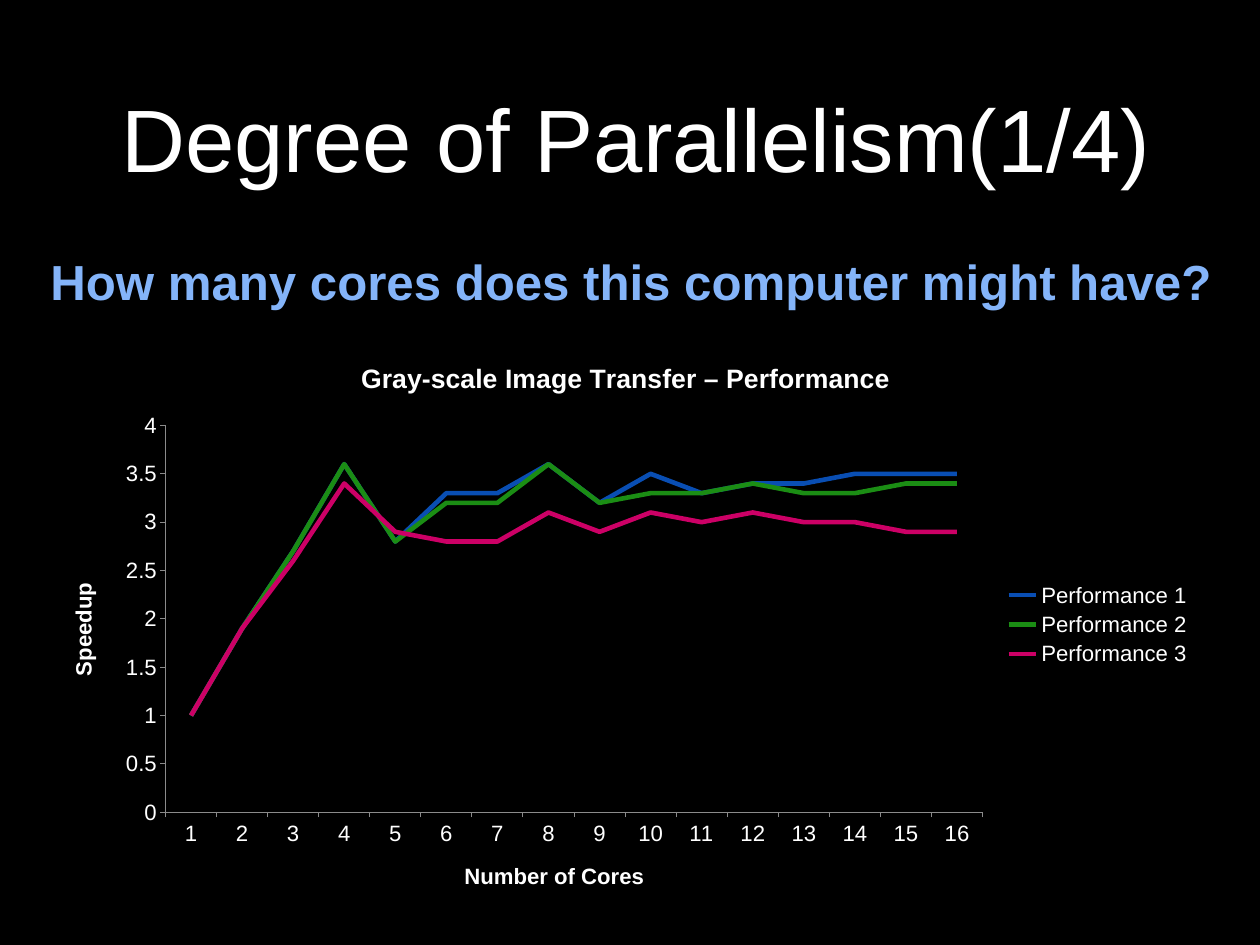
"""Builds a slide that shows speedup against the number of cores."""
import pptx
import pptx.chart.data
import pptx.dml.color
import pptx.enum.chart
import pptx.enum.text
import pptx.oxml
import pptx.oxml.ns
import pptx.util

Pt = pptx.util.Pt
BLACK = pptx.dml.color.RGBColor(0x00, 0x00, 0x00)
WHITE = pptx.dml.color.RGBColor(0xFF, 0xFF, 0xFF)
SKY = pptx.dml.color.RGBColor(0x84, 0xB4, 0xF9)
GRAY = pptx.dml.color.RGBColor(0x8B, 0x8B, 0x8B)
BLUE = pptx.dml.color.RGBColor(0x09, 0x4E, 0xB3)
GREEN = pptx.dml.color.RGBColor(0x1B, 0x8D, 0x14)
PINK = pptx.dml.color.RGBColor(0xCC, 0x00, 0x66)

SPEEDUPS = [
    ("Performance 1", BLUE, (1, 1.9, 2.7, 3.6, 2.8, 3.3, 3.3, 3.6,
                             3.2, 3.5, 3.3, 3.4, 3.4, 3.5, 3.5, 3.5)),
    ("Performance 2", GREEN, (1, 1.9, 2.7, 3.6, 2.8, 3.2, 3.2, 3.6,
                              3.2, 3.3, 3.3, 3.4, 3.3, 3.3, 3.4, 3.4)),
    ("Performance 3", PINK, (1, 1.9, 2.6, 3.4, 2.9, 2.8, 2.8, 3.1,
                             2.9, 3.1, 3, 3.1, 3, 3, 2.9, 2.9)),
]
PLOT_AREA = {"x": 0.1, "y": 0.15, "w": 0.71, "h": 0.68}


def apply(target, formats):
    for name, value in formats.items():
        setattr(target, name, value)


def style_font(font, size, color, bold=False):
    apply(font, {"name": "Arial", "size": Pt(size), "bold": bold})
    font.color.rgb = color


def fill_placeholder(placeholder, box, text, size, color, bold, anchor, paragraph_formats):
    apply(placeholder, dict(zip(("left", "top", "width", "height"), map(Pt, box))))
    frame = placeholder.text_frame
    apply(frame, {"margin_left": 0, "margin_top": 0, "margin_right": 0, "margin_bottom": 0,
                  "word_wrap": True, "vertical_anchor": anchor,
                  "auto_size": pptx.enum.text.MSO_AUTO_SIZE.NONE})
    paragraph = frame.paragraphs[0]
    properties = paragraph._p.get_or_add_pPr()
    apply(paragraph, {"space_before": Pt(0), **paragraph_formats})
    properties.set("marL", "0")
    properties.set("indent", "0")
    properties.append(properties.makeelement(pptx.oxml.ns.qn("a:buNone")))
    run = paragraph.add_run()
    run.text = text
    style_font(run.font, size, color, bold)


def write_title(owner, text, size):
    frame = owner.text_frame
    frame.text = text
    style_font(frame.paragraphs[0].runs[0].font, size, WHITE, True)
    return frame


def style_axis(axis, title):
    apply(axis, {"has_major_gridlines": False,
                 "major_tick_mark": pptx.enum.chart.XL_TICK_MARK.OUTSIDE,
                 "minor_tick_mark": pptx.enum.chart.XL_TICK_MARK.NONE})
    axis.format.line.color.rgb = GRAY
    axis.format.line.width = Pt(0.75)
    style_font(axis.tick_labels.font, 18, WHITE)
    return write_title(axis.axis_title, title, 18)


def place_plot(chart):
    plot_area = chart._chartSpace.chart.plotArea
    for layout in plot_area.findall(pptx.oxml.ns.qn("c:layout")):
        plot_area.remove(layout)
    sizes = "".join(f'<c:{side} val="{share}"/>' for side, share in PLOT_AREA.items())
    plot_area.insert(0, pptx.oxml.parse_xml(
        f'<c:layout {pptx.oxml.ns.nsdecls("c")}><c:manualLayout>'
        '<c:layoutTarget val="inner"/><c:xMode val="edge"/><c:yMode val="edge"/>'
        f'{sizes}</c:manualLayout></c:layout>'))


def add_speedup_chart(slide, box):
    speedup_data = pptx.chart.data.CategoryChartData()
    speedup_data.categories = [str(cores) for cores in range(1, 17)]
    for name, _, speedups in SPEEDUPS:
        speedup_data.add_series(name, speedups)
    chart = slide.shapes.add_chart(
        pptx.enum.chart.XL_CHART_TYPE.LINE, *map(Pt, box), speedup_data).chart
    style_font(chart.font, 18, WHITE)
    write_title(chart.chart_title, "Gray-scale Image Transfer – Performance", 21.6)
    chart.has_legend = True
    apply(chart.legend, {"position": pptx.enum.chart.XL_LEGEND_POSITION.RIGHT,
                         "include_in_layout": False})
    style_font(chart.legend.font, 18, WHITE)
    style_axis(chart.category_axis, "Number of Cores")
    speedup_title = style_axis(chart.value_axis, "Speedup")
    speedup_title._txBody.bodyPr.set("rot", "-5400000")
    speedup_title._txBody.bodyPr.set("vert", "horz")
    apply(chart.value_axis, {"minimum_scale": 0, "maximum_scale": 4, "major_unit": 0.5})
    chart.plots[0].vary_by_categories = False
    for series, (_, color, _) in zip(chart.plots[0].series, SPEEDUPS):
        series.smooth = False
        series.marker.style = pptx.enum.chart.XL_MARKER_STYLE.NONE
        series.format.line.color.rgb = color
        series.format.line.width = Pt(3.75)
    place_plot(chart)


def main():
    deck = pptx.Presentation()
    apply(deck, {"slide_width": Pt(1024), "slide_height": Pt(768)})
    slide = deck.slides.add_slide(deck.slide_layouts[1])
    slide.background.fill.solid()
    slide.background.fill.fore_color.rgb = BLACK
    fill_placeholder(slide.shapes.title, (96, 57.6, 841.6, 97.2),
                     "Degree of Parallelism(1/4)", 72, WHITE, False,
                     pptx.enum.text.MSO_ANCHOR.BOTTOM,
                     {"alignment": pptx.enum.text.PP_ALIGN.CENTER})
    fill_placeholder(slide.placeholders[1], (41, 209.5, 958.3, 528.5),
                     "How many cores does this computer might have?", 40, SKY, True,
                     pptx.enum.text.MSO_ANCHOR.TOP,
                     {"alignment": pptx.enum.text.PP_ALIGN.LEFT, "line_spacing": 0.9})
    add_speedup_chart(slide, (41, 276.5, 935.3, 462.2))
    deck.save("out.pptx")


if __name__ == "__main__":
    main()
